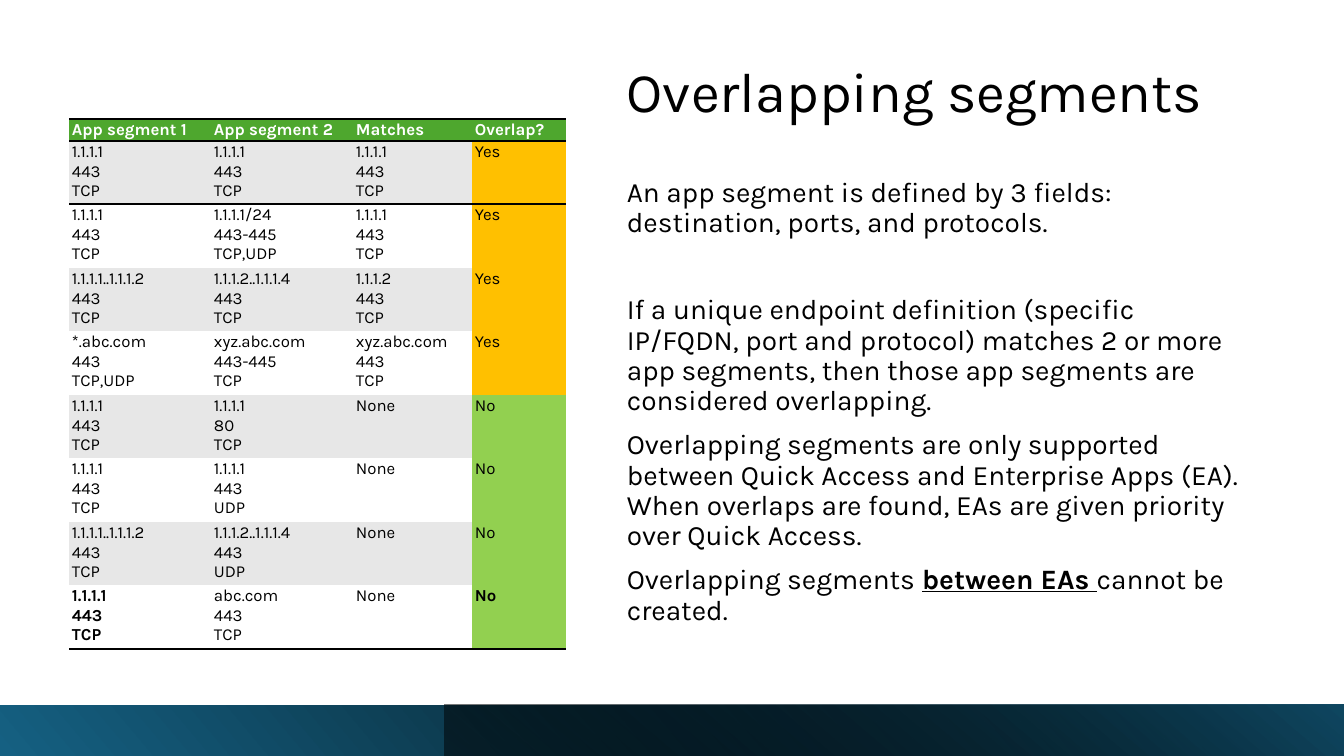
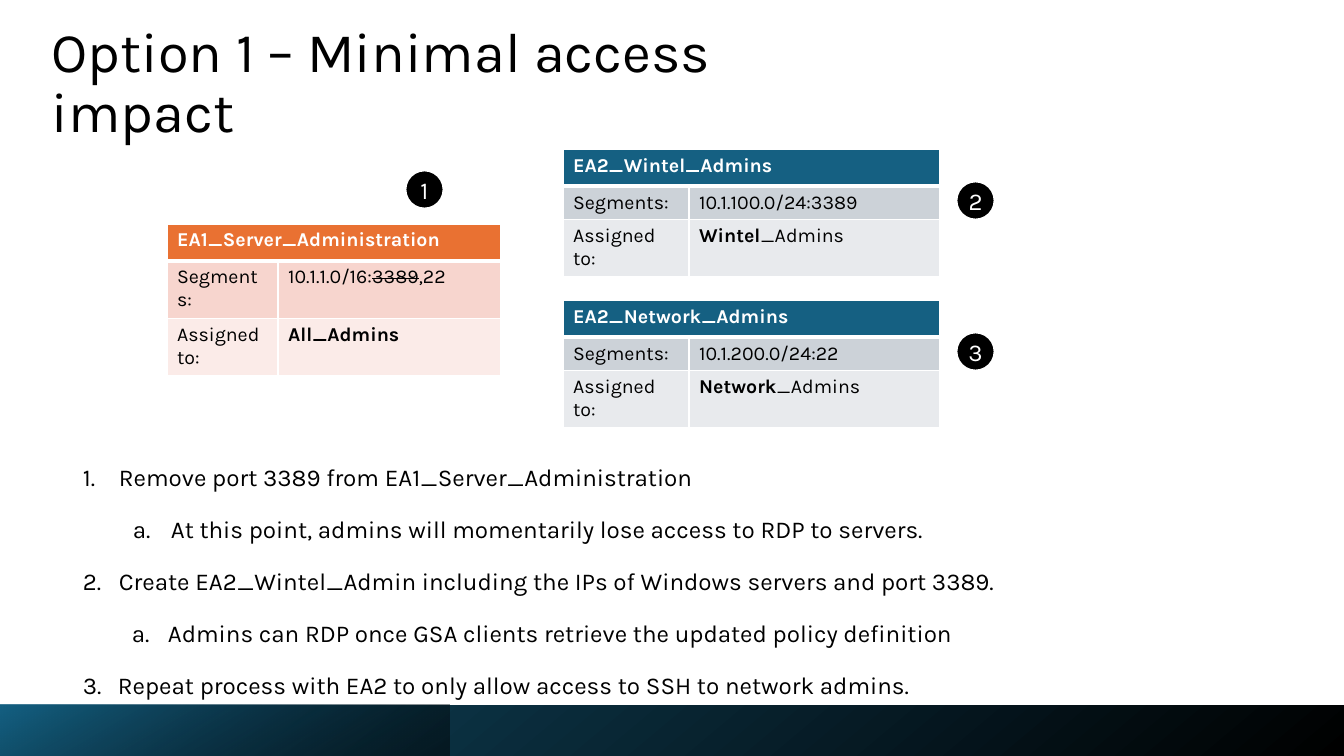
from lxml.etree import SubElement
from pptx import Presentation
from pptx.dml.color import RGBColor
from pptx.enum.shapes import MSO_SHAPE
from pptx.enum.text import MSO_ANCHOR, PP_ALIGN
from pptx.oxml.ns import qn
from pptx.util import Emu, Pt

WIDTH, HEIGHT = 1344, 756
BAND_TOP = 705
PX = 12192000 / WIDTH
FONT = "Karla"
NO_GRID_STYLE = "{2D5ABB26-0587-4C30-8999-92F81FD0307C}"
COLORS = {
    "black": "000000", "white": "FFFFFF", "blue": "156082", "deep blue": "104862",
    "green": "4EA72E", "stripe": "E7E7E7", "yes": "FFC000", "no": "92D050",
    "orange": "E97132", "orange mid": "F7D5CE", "orange light": "FBEBE8",
    "blue mid": "CCD2D8", "blue light": "E8EAED",
}


def px(length):
    return Emu(round(length * PX))


def rgb(name):
    return RGBColor.from_string(COLORS[name])


class Deck:
    def __init__(self):
        self.prs = Presentation()
        self.prs.slide_width, self.prs.slide_height = px(WIDTH), px(HEIGHT)
        self.slide = None

    def new_slide(self):
        self.slide = self.prs.slides.add_slide(self.prs.slide_layouts[6])

    def add_runs(self, paragraph, content, size, color="black", bold=False):
        """Fill a paragraph from a string or from (text, marks) pairs; marks: b, u, s."""
        parts = [(content, "")] if isinstance(content, str) else content
        for text, marks in parts:
            run = paragraph.add_run()
            run.text = text
            font = run.font
            font.name, font.size = FONT, Pt(size)
            font.color.rgb = rgb(color)
            font.bold = bold or "b" in marks
            font.underline = "u" in marks
            if "s" in marks:
                run._r.get_or_add_rPr().set("strike", "sngStrike")

    def text(self, left, top, width, height, paragraphs, size,
             anchor=MSO_ANCHOR.TOP, line_spacing=0.9):
        box = self.slide.shapes.add_textbox(px(left), px(top), px(width), px(height))
        frame = box.text_frame
        frame.word_wrap = True
        frame.vertical_anchor = anchor
        for i, content in enumerate(paragraphs):
            paragraph = frame.add_paragraph() if i else frame.paragraphs[0]
            paragraph.line_spacing = line_spacing
            self.add_runs(paragraph, content, size)
        return frame.paragraphs

    def title(self, left, top, width, height, content, anchor):
        self.text(left, top, width, height, [content], 40, anchor)

    def numbered_list(self, left, top, width, height, items):
        """Items are (level, left margin, hanging indent, text)."""
        paragraphs = self.text(left, top, width, height,
                               [item[3] for item in items], 17.3, line_spacing=1.5)
        for paragraph, (level, margin, hanging, _) in zip(paragraphs, items):
            paragraph.level = level
            paragraph.space_after = Pt(6)
            props = paragraph._p.get_or_add_pPr()
            props.set("marL", str(px(margin)))
            props.set("indent", str(-px(hanging)))
            numbering = "alphaLcPeriod" if level else "arabicPeriod"
            SubElement(props, qn("a:buAutoNum"), type=numbering)

    def shape(self, kind, left, top, width, height):
        shape = self.slide.shapes.add_shape(kind, px(left), px(top), px(width), px(height))
        shape.shadow.inherit = False
        return shape

    def band(self, left, width, angle, start, end, end_at=1.0, start_alpha=None):
        """Footer band with a gradient; angle runs clockwise, in degrees."""
        band = self.shape(MSO_SHAPE.RECTANGLE, left, BAND_TOP, width, HEIGHT - BAND_TOP)
        band.line.fill.background()
        band.fill.gradient()
        band.fill.gradient_angle = 360 - angle
        for stop, color, position in zip(band.fill.gradient_stops, (start, end), (0, end_at)):
            stop.color.rgb = rgb(color)
            stop.position = position
        if start_alpha is not None:
            first_color = next(band._element.iter(qn("a:srgbClr")))
            SubElement(first_color, qn("a:alpha"), val=str(start_alpha * 1000))

    def badge(self, left, top, number):
        badge = self.shape(MSO_SHAPE.OVAL, left, top, 39, 39)
        badge.fill.solid()
        badge.fill.fore_color.rgb = rgb("black")
        badge.line.color.rgb = rgb("white")
        badge.line.width = Pt(2)
        frame = badge.text_frame
        frame.margin_left = frame.margin_right = frame.margin_top = frame.margin_bottom = 0
        frame.word_wrap = False
        frame.vertical_anchor = MSO_ANCHOR.MIDDLE
        frame.paragraphs[0].alignment = PP_ALIGN.CENTER
        self.add_runs(frame.paragraphs[0], str(number), 17.3, "white")

    def table(self, left, top, columns, rows):
        frame = self.slide.shapes.add_table(len(rows), len(columns), px(left), px(top),
                                            px(sum(columns)), px(sum(rows)))
        table = frame.table
        table._tbl.tblPr.find(qn("a:tableStyleId")).text = NO_GRID_STYLE
        for column, width in zip(table.columns, columns):
            column.width = px(width)
        for row, height in zip(table.rows, rows):
            row.height = px(height)
        return table

    def cell(self, cell, content, size, fill, color="black", bold=False,
             margins=None, borders=None):
        """Margins are (side, top) in px; borders map L, R, T, B to (color, points)."""
        if margins:
            cell.margin_left = cell.margin_right = px(margins[0])
            cell.margin_top = cell.margin_bottom = px(margins[1])
        lines = content.split("\n") if isinstance(content, str) else [content]
        for i, line in enumerate(lines):
            frame = cell.text_frame
            paragraph = frame.add_paragraph() if i else frame.paragraphs[0]
            self.add_runs(paragraph, line, size, color, bold)
        props = cell._tc.get_or_add_tcPr()
        for side in "LRTB":
            if side in (borders or {}):
                line_color, points = borders[side]
                line = SubElement(props, qn(f"a:ln{side}"), w=str(Pt(points)))
                solid = SubElement(line, qn("a:solidFill"))
                SubElement(solid, qn("a:srgbClr"), val=COLORS[line_color])
        cell.fill.solid()
        cell.fill.fore_color.rgb = rgb(fill)

    def app_table(self, left, top, columns, rows, name, segments, assigned, hue):
        """Enterprise app card: a merged header over segments and assignment."""
        table = self.table(left, top, columns, rows)
        table.cell(0, 0).merge(table.cell(0, 1))
        edges = {side: ("white", 1) for side in "LRTB"}
        header_edges = edges | {"B": ("white", 3)}
        for c, content in enumerate((name, "")):
            self.cell(table.cell(0, c), content, 14, hue, "white", True, borders=header_edges)
        body = [("Segments:", segments, " mid"), ("Assigned to:", assigned, " light")]
        for r, (label, value, shade) in enumerate(body, 1):
            top_edge = {"T": ("white", 3 if r == 1 else 1)}
            for c, content in enumerate((label, value)):
                self.cell(table.cell(r, c), content, 14, hue + shade, borders=edges | top_edge)


def segment(host, ports="443", protocols="TCP"):
    return "\n".join((host, ports, protocols))


def overlap_slide(deck):
    deck.new_slide()
    deck.title(617, 54, 634, 76, "Overlapping segments", MSO_ANCHOR.BOTTOM)
    explanation = deck.text(617, 173, 634, 477, [
        "An app segment is defined by 3 fields: destination, ports, and protocols.",
        "If a unique endpoint definition (specific IP/FQDN, port and protocol) matches 2 or "
        "more app segments, then those app segments are considered overlapping.",
        "Overlapping segments are only supported between Quick Access and Enterprise Apps "
        "(EA). When overlaps are found, EAs are given priority over Quick Access.",
        [("Overlapping segments ", ""), ("between EAs ", "bu"), ("cannot be created.", "")],
    ], 20)
    for paragraph, space in zip(explanation, (10, 41, 10, 10)):
        paragraph.space_before = Pt(space)
    deck.band(0, WIDTH, 320, "blue", "black", end_at=0.9)
    deck.band(445, WIDTH - 445, 310, "black", "deep blue", start_alpha=50)

    host, host_range, next_range = "1.1.1.1", "1.1.1.1..1.1.1.2", "1.1.1.2..1.1.1.4"
    cases = [
        (segment(host), segment(host), segment(host)),
        (segment(host), segment("1.1.1.1/24", "443-445", "TCP,UDP"), segment(host)),
        (segment(host_range), segment(next_range), segment("1.1.1.2")),
        (segment("*.abc.com", protocols="TCP,UDP"), segment("xyz.abc.com", "443-445"),
         segment("xyz.abc.com")),
        (segment(host), segment(host, "80"), "None"),
        (segment(host), segment(host, protocols="UDP"), "None"),
        (segment(host_range), segment(next_range, protocols="UDP"), "None"),
        (segment(host), segment("abc.com"), "None"),
    ]
    last = len(cases)
    heights = [22] + [63 + i % 2 for i in range(last)]
    table = deck.table(69, 119, (142, 142, 119, 94), heights)
    rule = ("black", 2)
    margins = (3, 1)
    for c, heading in enumerate(("App segment 1", "App segment 2", "Matches", "Overlap?")):
        deck.cell(table.cell(0, c), heading, 12, "green", "white", True, margins,
                  {"T": rule, "B": rule})
    for r, case in enumerate(cases, 1):
        verdict = "No" if case[2] == "None" else "Yes"
        stripe = "stripe" if r % 2 else "white"
        borders = {"T": rule} if r == 1 else {"B": rule} if r == last else None
        for c, content in enumerate((*case, verdict)):
            deck.cell(table.cell(r, c), content, 12, verdict.lower() if c == 3 else stripe,
                      bold=r == last and c in (0, 3), margins=margins, borders=borders)


def option_slide(deck):
    deck.new_slide()
    deck.title(42, 24, 829, 121, "Option 1 – Minimal access impact", MSO_ANCHOR.MIDDLE)
    deck.numbered_list(73, 443, 1126, 260, [
        (0, 36, 36, "Remove port 3389 from EA1_Server_Administration"),
        (1, 88, 38, "At this point, admins will momentarily lose access to RDP to servers."),
        (0, 36, 36, "Create EA2_Wintel_Admin including the IPs of Windows servers and port 3389."),
        (1, 85, 36, "Admins can RDP once GSA clients retrieve the updated policy definition"),
        (0, 35, 36, "Repeat process with EA2 to only allow access to SSH to network admins."),
    ])
    deck.band(0, WIDTH, 230, "black", "deep blue")
    deck.band(0, 450, 240, "black", "blue", end_at=0.99, start_alpha=46)
    deck.app_table(167, 224, (111, 223), (37, 57, 57), "EA1_Server_Administration",
                   [("10.1.1.0/16:", ""), ("3389", "s"), (",22", "")],
                   [("All_Admins", "b")], "orange")
    for top, team, segments in ((149, "Wintel", "10.1.100.0/24:3389"),
                                (300, "Network", "10.1.200.0/24:22")):
        deck.app_table(563, top, (126, 251), (37, 33, 57), f"EA2_{team}_Admins", segments,
                       [(team, "b"), ("_Admins", "")], "blue")
    for number, (left, top) in enumerate(((405, 170), (956, 181), (956, 332)), 1):
        deck.badge(left, top, number)


def main():
    deck = Deck()
    overlap_slide(deck)
    option_slide(deck)
    deck.prs.save("out.pptx")


if __name__ == "__main__":
    main()
